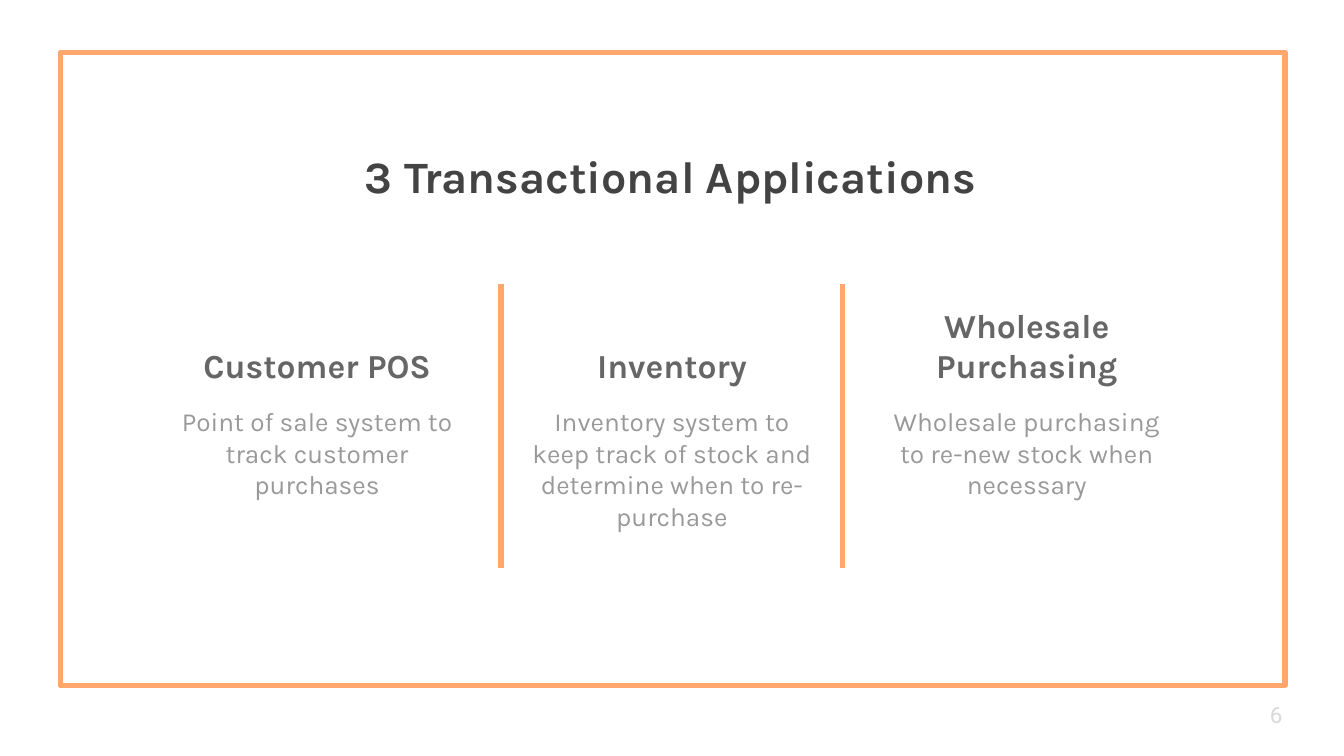
from lxml import etree
from pptx import Presentation
from pptx.dml.color import RGBColor
from pptx.enum.shapes import MSO_CONNECTOR, MSO_SHAPE
from pptx.enum.text import MSO_ANCHOR as Anchor, MSO_AUTO_SIZE, PP_ALIGN as Align
from pptx.oxml.ns import qn
from pptx.util import Inches, Pt

ORANGE = RGBColor(0xFF, 0xA7, 0x6C)
CHARCOAL = RGBColor(0x43, 0x43, 0x43)
DARK_GRAY = RGBColor(0x66, 0x66, 0x66)
GRAY = RGBColor(0x99, 0x99, 0x99)
LIGHT_GRAY = RGBColor(0xD9, 0xD9, 0xD9)

# Each column: heading, description, description width
COLUMNS = [
    ("Customer POS", "Point of sale system to track customer purchases", 2.48),
    ("Inventory", "Inventory system to keep track of stock and determine when to re-purchase", 2.31),
    ("Wholesale Purchasing", "Wholesale purchasing to re-new stock when necessary", 2.31),
]

presentation = Presentation()
presentation.slide_width = Inches(10)
presentation.slide_height = presentation.slide_width * 9 // 16
slide = presentation.slides.add_slide(presentation.slide_layouts[5])
CENTER = 5
COLUMN_PITCH = 2.64
HEADING_WIDTH = 2.31


def write(shape, text, size, color, bold=False, align=Align.CENTER, anchor=Anchor.TOP, font="Karla"):
    frame = shape.text_frame
    frame.text = text
    frame.word_wrap = True
    frame.auto_size = MSO_AUTO_SIZE.NONE
    frame.vertical_anchor = anchor
    frame.margin_left = frame.margin_right = Inches(0.1)
    frame.margin_top = frame.margin_bottom = Inches(0.1)
    paragraph = frame.paragraphs[0]
    paragraph.alignment = align
    paragraph.font.name = font
    paragraph.font.size = Pt(size)
    paragraph.font.bold = bold
    paragraph.font.color.rgb = color


def add_text_box(left, top, width, height):
    return slide.shapes.add_textbox(Inches(left), Inches(top), Inches(width), Inches(height))


# Frame
border = slide.shapes.add_shape(
    MSO_SHAPE.RECTANGLE, Inches(0.45), Inches(0.39), Inches(9.11), Inches(4.71))
border.shadow.inherit = False
border.fill.background()
border.line.color.rgb = ORANGE
border.line.width = Pt(3)
etree.SubElement(border.line._get_or_add_ln(), qn("a:round"))

# Title
title = slide.shapes.title
title.left, title.top = Inches(-0.01), Inches(1.01)
title.width, title.height = presentation.slide_width, Inches(0.53)
write(title, "3 Transactional Applications", 24, CHARCOAL, bold=True)

# Dividers between the columns
for side in (-1, 1):
    x = Inches(CENTER + side * 1.27)
    divider = slide.shapes.add_connector(MSO_CONNECTOR.STRAIGHT, x, Inches(2.11), x, Inches(4.23))
    divider.line.color.rgb = ORANGE
    divider.line.width = Pt(3)
    etree.SubElement(divider._element.spPr, qn("a:effectLst"))

# Columns
for index, (heading, description, width) in enumerate(COLUMNS):
    middle = CENTER + (index - 1) * COLUMN_PITCH
    heading_box = add_text_box(middle - HEADING_WIDTH / 2, 2.26, HEADING_WIDTH, 0.71)
    write(heading_box, heading, 18, DARK_GRAY, bold=True, anchor=Anchor.BOTTOM)
    description_box = add_text_box(middle - width / 2, 2.92, width, 1.7)
    write(description_box, description, 14, GRAY)

# Slide number
slide_number = add_text_box(9.35, 5.1, 0.6, 0.43)
write(slide_number, "6", 12, LIGHT_GRAY, align=Align.LEFT, anchor=Anchor.MIDDLE, font="Roboto")

presentation.save("out.pptx")
